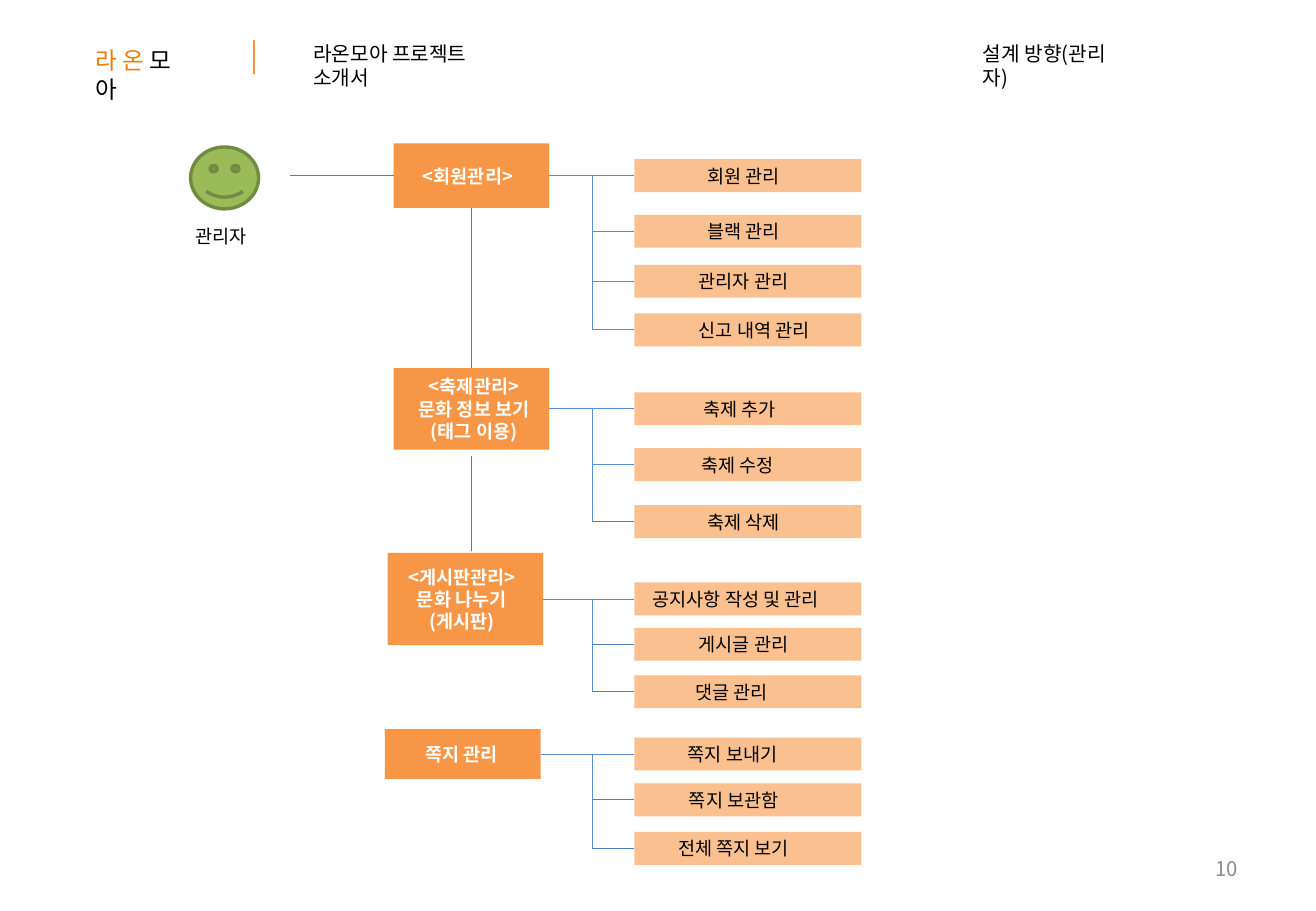
from dataclasses import dataclass

from lxml.etree import SubElement
from pptx import Presentation
from pptx.dml.color import RGBColor
from pptx.enum.shapes import MSO_CONNECTOR as Connector, MSO_SHAPE as Preset
from pptx.enum.text import MSO_ANCHOR as Anchor, MSO_AUTO_SIZE as AutoSize, PP_ALIGN as Align
from pptx.oxml.ns import qn
from pptx.util import Pt

FONT = "Noto Sans CJK KR"
BLACK, WHITE, GREY = "000000", "FFFFFF", "8C8C8C"
ORANGE, PEACH, ACCENT = "F79646", "FAC090", "F27B04"
THIN, BOLD = ("558ED5", 0.5), ("4B7EBC", 0.75)
BOX_WIDTH, BAR_LEFT, BAR_WIDTH, BAR_HEIGHT = 92.2, 376, 134.6, 19.5
TRUNK_X, SPINE_X, ADMIN_LINE_X = 351, 279.4, 172.1
TOP, LEFT, BOTTOM, RIGHT = 0, 1, 2, 3


@dataclass
class Item:
    text: str
    top: float
    indent: float
    line: tuple = THIN

    @property
    def middle(self) -> float:
        return self.top + BAR_HEIGHT / 2


@dataclass
class Menu:
    lines: list
    left: float
    height: float
    shift: float
    items: list


@dataclass
class Label:
    runs: list
    left: float
    top: float
    width: float
    height: float
    size: float
    align: Align = Align.LEFT
    anchor: Anchor = Anchor.TOP


MENUS = [
    Menu(["<회원관리>"], 233.3, 38.3, -2, [
        Item("회원 관리", 94.4, 43.2), Item("블랙 관리", 127.4, 43.2),
        Item("관리자 관리", 157, 38.2), Item("신고 내역 관리", 185.8, 38.2)]),
    Menu(["<축제관리>", "문화 정보 보기", "(태그 이용)"], 233.3, 48.3, 1.6, [
        Item("축제 추가", 232.6, 41), Item("축제 수정", 265.7, 39.6),
        Item("축제 삭제", 299.5, 43.2, BOLD)]),
    Menu(["<게시판관리>", "문화 나누기", "(게시판)"], 229.7, 54.7, -2, [
        Item("공지사항 작성 및 관리", 345.3, 10.8), Item("게시글 관리", 372.2, 38.2, BOLD),
        Item("댓글 관리", 400.3, 36, BOLD)]),
    Menu(["쪽지 관리"], 228.2, 29.5, -0.6, [
        Item("쪽지 보내기", 437.2, 31.7), Item("쪽지 보관함", 464.4, 32.4, BOLD),
        Item("전체 쪽지 보기", 493.2, 25.9, BOLD)]),
]
TITLE = Label([("설계 방향(관리자)", BLACK)], 575.3, 20.9, 98.6, 21.6, 12)
LABELS = [
    Label([("라 온 ", ACCENT), ("모 아", BLACK)], 49.7, 23.8, 73.4, 24.5, 14),
    Label([("라온모아 프로젝트 소개서", BLACK)], 178.6, 20.9, 136, 21.6, 12),
    Label([("관리자", BLACK)], 108.7, 129.6, 47.5, 20.9, 11),
    Label([("10", GREY)], 558.7, 500.4, 182.2, 28.8, 12, Align.RIGHT, Anchor.MIDDLE),
]


def colour(value: str) -> RGBColor:
    return RGBColor.from_string(value)


def apply(target, values: dict) -> None:
    for name, value in values.items():
        setattr(target, name, value)


def write_run(paragraph, text: str, size: float, tint: str, bold: bool = False) -> None:
    run = paragraph.add_run()
    run.text = text
    apply(run.font, {"size": Pt(size), "bold": bold, "name": FONT})
    run.font.color.rgb = colour(tint)
    SubElement(run.font._element, qn("a:ea"), typeface=FONT)


def fill_label(shape, label: Label) -> None:
    apply(shape, {"left": Pt(label.left), "top": Pt(label.top),
                  "width": Pt(label.width), "height": Pt(label.height)})
    frame = shape.text_frame
    apply(frame, {"word_wrap": True, "auto_size": AutoSize.NONE, "vertical_anchor": label.anchor})
    paragraph = frame.paragraphs[0]
    apply(paragraph, {"alignment": label.align, "line_spacing": 1.0})
    for text, tint in label.runs:
        write_run(paragraph, text, label.size, tint)


def add_preset(slide, preset, left: float, top: float, width: float, height: float, fill: str):
    shape = slide.shapes.add_shape(preset, Pt(left), Pt(top), Pt(width), Pt(height))
    shape.shadow.inherit = False
    shape.fill.solid()
    shape.fill.fore_color.rgb = colour(fill)
    shape.line.fill.background()
    return shape


def fill_block(shape, lines: list, align, tint: str, bold: bool, left: float, right: float) -> None:
    frame = shape.text_frame
    apply(frame, {"word_wrap": True, "vertical_anchor": Anchor.MIDDLE, "margin_left": Pt(left),
                  "margin_right": Pt(right), "margin_top": 0, "margin_bottom": 0})
    for index, text in enumerate(lines):
        paragraph = frame.add_paragraph() if index else frame.paragraphs[0]
        paragraph.alignment = align
        write_run(paragraph, text, 11, tint, bold)


def add_line(slide, start: tuple, end: tuple, style: tuple, begin=None, finish=None) -> None:
    line = slide.shapes.add_connector(Connector.STRAIGHT, *(Pt(value) for value in start + end))
    SubElement(line._element.spPr, qn("a:effectLst"))
    line.line.color.rgb = colour(style[0])
    line.line.width = Pt(style[1])
    if begin:
        line.begin_connect(*begin)
    if finish:
        line.end_connect(*finish)


def add_menu(slide, menu: Menu):
    middle = menu.items[0].middle
    box = add_preset(slide, Preset.RECTANGLE, menu.left, middle - menu.height / 2,
                     BOX_WIDTH, menu.height, ORANGE)
    fill_block(box, menu.lines, Align.CENTER, WHITE, True,
               max(2 * menu.shift, 0), max(-2 * menu.shift, 0))
    add_line(slide, (TRUNK_X, middle), (TRUNK_X, menu.items[-1].middle), THIN)
    for index, item in enumerate(menu.items):
        bar = add_preset(slide, Preset.RECTANGLE, BAR_LEFT, item.top, BAR_WIDTH, BAR_HEIGHT, PEACH)
        fill_block(bar, [item.text], Align.LEFT, BLACK, False, item.indent, 0)
        add_line(slide, (TRUNK_X, item.middle), (BAR_LEFT, item.middle), item.line,
                 None if index else (box, RIGHT), (bar, LEFT))
    return box


def main() -> None:
    presentation = Presentation()
    apply(presentation, {"slide_width": Pt(780), "slide_height": Pt(540)})
    slide = presentation.slides.add_slide(presentation.slide_layouts[5])
    fill_label(slide.shapes.title, TITLE)
    for label in LABELS:
        fill_label(slide.shapes.add_textbox(0, 0, 0, 0), label)
    add_line(slide, (150.5, 23.8), (150.5, 43.9), ("F69240", 1.5))

    smiley = add_preset(slide, Preset.SMILEY_FACE, 113, 87.1, 40.3, 36.7, "9BBB59")
    smiley.line.color.rgb = colour("738A42")
    smiley.line.width = Pt(2)

    members, festivals, *_ = [add_menu(slide, menu) for menu in MENUS]
    middle = MENUS[0].items[0].middle
    add_line(slide, (MENUS[0].left, middle), (ADMIN_LINE_X, middle), BOLD, (members, LEFT))
    add_line(slide, (SPINE_X, 123), (SPINE_X, 218), BOLD, (members, BOTTOM), (festivals, TOP))
    add_line(slide, (SPINE_X, 270), (SPINE_X, 326.9), BOLD)
    presentation.save("out.pptx")


if __name__ == "__main__":
    main()
